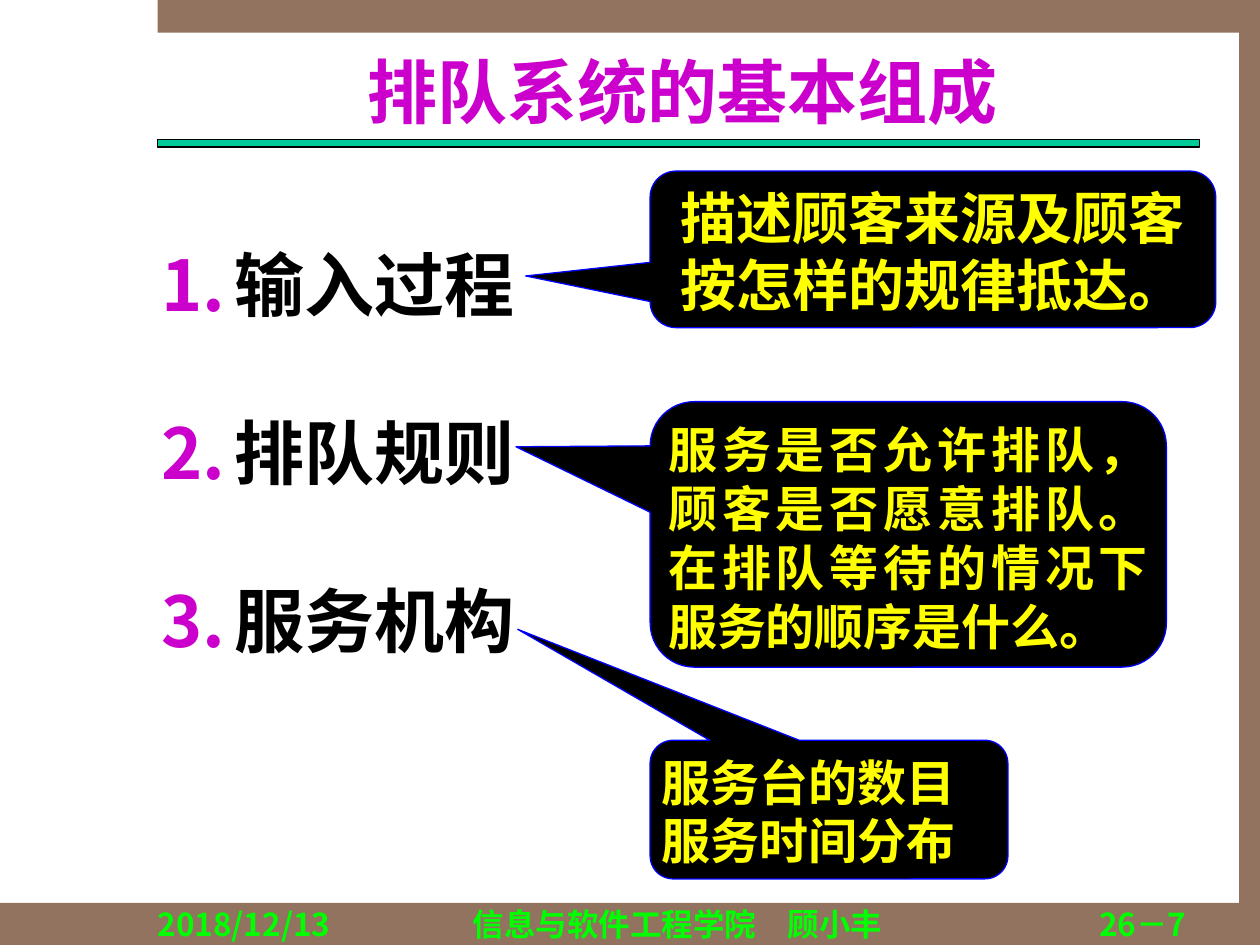
from dataclasses import dataclass

from lxml.etree import SubElement
from pptx import Presentation
from pptx.dml.color import RGBColor
from pptx.enum.shapes import MSO_SHAPE
from pptx.enum.text import MSO_ANCHOR, PP_ALIGN
from pptx.oxml.ns import qn
from pptx.shapes.autoshape import Shape
from pptx.slide import Slide
from pptx.util import Pt

COLORS = {
    "frame": "91735F", "rule": "00CC99", "black": "000000", "heading": "CC00CC",
    "footer": "00FF00", "callout_text": "FFFF00", "callout_line": "0000FF",
}
SERIF = "Times New Roman"
SANS = "Noto Sans CJK SC"
CALLOUT_LEFT = 371.5
FOOTER_TOP = 517


@dataclass(frozen=True)
class Area:
    left: float
    top: float
    width: float
    height: float

    def lengths(self) -> tuple[Pt, Pt, Pt, Pt]:
        return Pt(self.left), Pt(self.top), Pt(self.width), Pt(self.height)


@dataclass(frozen=True)
class Style:
    size: float
    color: str
    font: str = SERIF
    align: PP_ALIGN = PP_ALIGN.LEFT


@dataclass(frozen=True)
class Callout:
    area: Area
    tip: tuple[float, float]
    lines: list[str]
    style: Style


@dataclass(frozen=True)
class Label:
    area: Area
    text: str
    align: PP_ALIGN


def color(name: str) -> RGBColor:
    return RGBColor.from_string(COLORS[name])


def write(box: Shape, lines: list[str], style: Style, inset: float = 0,
          anchor: MSO_ANCHOR = MSO_ANCHOR.TOP, numbered: bool = False) -> None:
    frame = box.text_frame
    frame.word_wrap = True
    frame.vertical_anchor = anchor
    frame.margin_left = frame.margin_right = Pt(inset)
    frame.margin_top = frame.margin_bottom = Pt(inset)
    for index, line in enumerate(lines):
        para = frame.add_paragraph() if index else frame.paragraphs[0]
        para.text = line
        para.alignment = style.align
        if numbered:
            para.line_spacing = 2.0
            add_number(para)
        para.font.name = style.font
        para.font.size = Pt(style.size)
        para.font.bold = True
        para.font.color.rgb = color(style.color)


def add_number(para) -> None:
    properties = para._p.get_or_add_pPr()
    properties.set("marL", str(Pt(42)))
    properties.set("indent", str(Pt(-42)))
    tint = SubElement(properties, qn("a:buClr"))
    SubElement(tint, qn("a:srgbClr"), val=COLORS["heading"])
    SubElement(properties, qn("a:buFont"), typeface=SANS)
    SubElement(properties, qn("a:buAutoNum"), type="arabicPeriod")


def add_filled(page: Slide, kind: MSO_SHAPE, area: Area, fill: str,
               line: str | None = None) -> Shape:
    shape = page.shapes.add_shape(kind, *area.lengths())
    shape.shadow.inherit = False
    shape.fill.solid()
    shape.fill.fore_color.rgb = color(fill)
    if line:
        shape.line.color.rgb = color(line)
        shape.line.width = Pt(0.75)
    else:
        shape.line.fill.background()
    return shape


def add_callout(page: Slide, callout: Callout) -> None:
    shape = add_filled(page, MSO_SHAPE.ROUNDED_RECTANGULAR_CALLOUT, callout.area,
                       "black", "callout_line")
    shape.adjustments[0], shape.adjustments[1] = callout.tip
    write(shape, callout.lines, callout.style, inset=2.88)


def main() -> None:
    """Build the slide on the basic parts of a queueing system."""
    deck = Presentation()
    deck.slide_width, deck.slide_height = Pt(720), Pt(540)
    page = deck.slides.add_slide(deck.slide_layouts[6])

    for area in (Area(0, 516, 720, 24), Area(90, 0, 630, 18.75), Area(708, 18, 12, 498)):
        add_filled(page, MSO_SHAPE.RECTANGLE, area, "frame")
    add_filled(page, MSO_SHAPE.RECTANGLE, Area(90, 79.75, 595.5, 4.25), "rule", "black")

    title = page.shapes.add_textbox(*Area(96, 27.5, 588, 48).lengths())
    write(title, ["排队系统的基本组成"], Style(40, "heading", align=PP_ALIGN.CENTER),
          anchor=MSO_ANCHOR.MIDDLE)
    parts = page.shapes.add_textbox(*Area(92, 90, 234, 288).lengths())
    write(parts, ["输入过程", "排队规则", "服务机构"], Style(40, "black"), numbered=True)

    detail = Style(28, "callout_text", align=PP_ALIGN.JUSTIFY)
    callouts = [
        Callout(Area(CALLOUT_LEFT, 97.75, 323.25, 89.5), (-0.72, 0.17),
                ["描述顾客来源及顾客按怎样的规律抵达。"],
                Style(32, "callout_text", align=PP_ALIGN.CENTER)),
        Callout(Area(CALLOUT_LEFT, 229.5, 295, 151.75), (-0.76, -0.33),
                ["服务是否允许排队，顾客是否愿意排队。在排队等待的情况下服务的顺序是什么。"],
                detail),
        Callout(Area(CALLOUT_LEFT, 423, 204.5, 79.25), (-0.87, -1.3),
                ["服务台的数目", "服务时间分布"], detail),
    ]
    for callout in callouts:
        add_callout(page, callout)

    labels = [
        Label(Area(90, FOOTER_TOP, 132, 21.5), "2018/12/13", PP_ALIGN.LEFT),
        Label(Area(222, FOOTER_TOP, 330, 21.5), "信息与软件工程学院　顾小丰", PP_ALIGN.CENTER),
        Label(Area(558, FOOTER_TOP, 120, 21.5), "26－7", PP_ALIGN.RIGHT),
    ]
    for label in labels:
        box = page.shapes.add_textbox(*label.area.lengths())
        write(box, [label.text], Style(18, "footer", SANS, label.align))

    deck.save("out.pptx")


if __name__ == "__main__":
    main()
